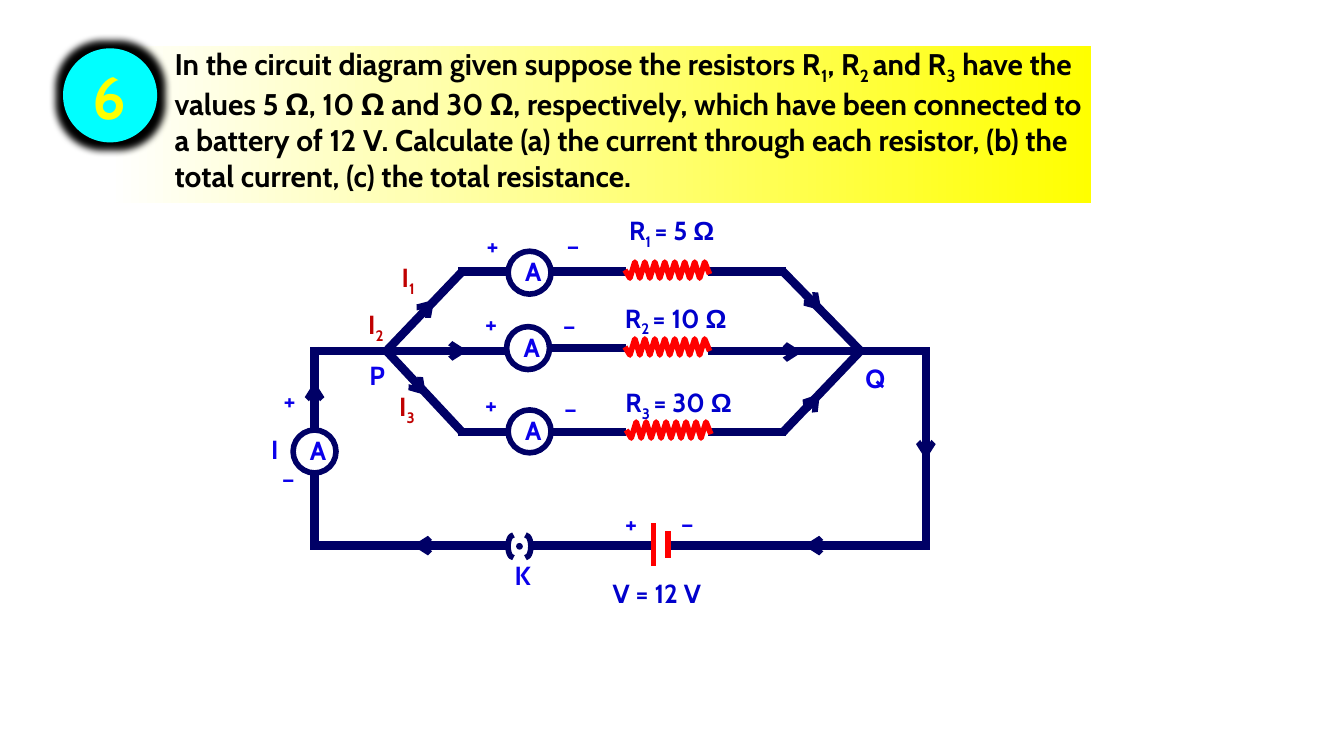
from copy import deepcopy

from lxml import etree
from pptx import Presentation
from pptx.dml import color
from pptx.enum import shapes, text
from pptx.oxml import ns
from pptx.util import Pt

NAVY = color.RGBColor(0x00, 0x00, 0x66)
BLUE = color.RGBColor(0x0B, 0x00, 0xEA)
ROYAL = color.RGBColor(0x00, 0x00, 0xCC)
CRIMSON = color.RGBColor(0xC0, 0x00, 0x00)
RED = color.RGBColor(0xFF, 0x00, 0x00)
YELLOW = color.RGBColor(0xFF, 0xFF, 0x00)
CREAM = color.RGBColor(0xFF, 0xFF, 0xB4)
WHITE = color.RGBColor(0xFF, 0xFF, 0xFF)
CYAN = color.RGBColor(0x00, 0xFF, 0xFF)
BLACK = color.RGBColor(0x00, 0x00, 0x00)

KIND = shapes.MSO_SHAPE
ALIGN = text.PP_ALIGN

# Main lines of the circuit
LEFT, RIGHT, MID, BASE = 168.5, 496, 188, 292.3
P, Q = 207, 461

QUESTION = (
    "In the circuit diagram given suppose the resistors R|1|, R|2 |and R|3"
    "| have the values 5 Ω, 10 Ω and 30 Ω, respectively, which have been "
    "connected to a battery of 12 V. Calculate (a) the current through each "
    "resistor, (b) the total current, (c) the total resistance."
)


def child(parent, tag, **attrs):
    return etree.SubElement(parent, ns.qn(tag), **attrs)


class Sketch:
    def __init__(self, slide, font="Cabin"):
        self.slide = slide
        self.font = font

    def wire(self, x1, y1, x2, y2, tint=NAVY, width=4.5, arrow=False):
        line = self.slide.shapes.add_connector(
            shapes.MSO_CONNECTOR.STRAIGHT, Pt(x1), Pt(y1), Pt(x2), Pt(y2))
        line.line.color.rgb = tint
        line.line.width = Pt(width)
        if arrow:
            child(line.line._get_or_add_ln(), "a:tailEnd", type="arrow")
        child(line._element.spPr, "a:effectLst")

    def shape(self, kind, x, y, w, h, fill=None, line=None):
        item = self.slide.shapes.add_shape(kind, Pt(x), Pt(y), Pt(w), Pt(h))
        item.shadow.inherit = False
        if fill is None:
            item.fill.background()
        else:
            item.fill.solid()
            item.fill.fore_color.rgb = fill
        if line is None:
            item.line.fill.background()
        else:
            item.line.color.rgb = line
            item.line.width = Pt(3)
        return item

    def label(self, words, x, y, w, h=24.5, size=14, tint=BLUE,
              align=ALIGN.CENTER, inset=0, fit=True, wrap=True):
        """Add text; every second piece between bars is a subscript."""
        box = self.slide.shapes.add_textbox(Pt(x), Pt(y), Pt(w), Pt(h))
        frame = box.text_frame
        frame.word_wrap = wrap
        frame.vertical_anchor = text.MSO_ANCHOR.MIDDLE
        if fit:
            frame.auto_size = text.MSO_AUTO_SIZE.SHAPE_TO_FIT_TEXT
        para = frame.paragraphs[0]
        para.alignment = align
        para._p.get_or_add_pPr().set("marL", str(Pt(inset)))
        para.font.size = Pt(size)
        para.font.bold = True
        para.font.name = self.font
        para.font.color.rgb = tint
        for i, piece in enumerate(words.split("|")):
            if not piece:
                continue
            run = para.add_run()
            run.text = piece
            if i % 2:
                run.font._element.set("baseline", "-25000")
            if piece.startswith("Ω"):
                run.font.name = "Arial"

    def meter(self, x, y):
        self.shape(KIND.OVAL, x, y, 23, 23, WHITE, NAVY)
        self.label("A", x + 2, y - 1.4, 18.7)

    def coil(self, x, top):
        """Draw a resistor as an even zigzag."""
        dots = [(x + 2.67 * i, top + 8.6 * (i % 2)) for i in range(1, 17)]
        dots.append((x + 45.4, top + 6.5))
        pen = self.slide.shapes.build_freeform(Pt(x), Pt(top + 4.3))
        pen.add_line_segments([(Pt(a), Pt(b)) for a, b in dots], close=False)
        item = pen.convert_to_shape()
        item.shadow.inherit = False
        item.fill.background()
        item.line.color.rgb = RED
        item.line.width = Pt(3)

    def banner(self, x, y, w, h):
        fill = self.shape(KIND.RECTANGLE, x, y, w, h).fill
        fill.gradient()
        fill.gradient_angle = 180
        first = fill.gradient_stops[0]._gs
        first.addnext(deepcopy(first))
        looks = [(0, YELLOW), (0.7, CREAM), (1, WHITE)]
        for stop, (place, tint) in zip(fill.gradient_stops, looks):
            stop.position = place
            stop.color.rgb = tint

    def badge(self, x, y, size):
        disc = self.shape(KIND.OVAL, x, y, size, size, CYAN)
        effects = disc._element.spPr.find(ns.qn("a:effectLst"))
        glow = child(effects, "a:glow", rad=str(Pt(8)))
        child(glow, "a:srgbClr", val=str(BLACK))


def circuit(art):
    wires = [
        (RIGHT, MID, RIGHT, 294.5), (LEFT, 185.8, LEFT, 294.5),
        (167, MID, 271.4, MID), (379.5, MID, 498.2, MID),
        (167, BASE, 273.6, BASE), (283.7, BASE, 350, BASE),
        (357.8, BASE, 496.8, BASE), (293.8, 186.5, 335.5, 186.5),
    ]
    for y in (145.4, 231.6):
        wires += [(245.5, y, 271.4, y), (293.8, y, 335.5, y),
                  (379.5, y, 421.2, y),
                  (P, MID, 247.7, y), (419.4, y, Q, MID)]
    for ends in wires:
        art.wire(*ends)

    for x, y in [(272.2, 134.6), (271.4, 175), (272.2, 219.6), (157, 230.4)]:
        art.meter(x, y)
    for x, top in [(334.8, 140.4), (334.8, 181.6), (335.5, 226.1)]:
        art.coil(x, top)

    # Key and battery
    art.shape(KIND.RIGHT_BRACKET, 281.5, 286.6, 2.9, 12.2,
              line=NAVY).adjustments[0] = 2
    art.shape(KIND.LEFT_BRACKET, 272.2, 286.6, 2.9, 12.2,
              line=NAVY).adjustments[0] = 2
    art.shape(KIND.OVAL, 276.5, 290.9, 3.6, 3.6, NAVY)
    art.wire(350, 303, 350, 280, RED, 3)
    art.wire(357.8, 298.8, 357.8, 284.4, RED, 3)

    for ends in [
        (RIGHT, 236.2, RIGHT, 246.2), (LEFT, 213.8, LEFT, 204.5),
        (231, BASE, 221, BASE), (440, BASE, 430.6, BASE),
        (226, 167.8, 232.6, 160.6), (221.8, 204.5, 228.2, 211.7),
        (241.2, MID, 250.6, MID), (433.4, 159.1, 440, 166.3),
        (419.8, 188.6, 429.8, 188.6), (433.4, 218.2, 439.2, 211),
    ]:
        art.wire(*ends, width=3, arrow=True)


def labels(art):
    signs = {
        "+": [(140.4, 202.3), (249.1, 118.8), (248.4, 160.6),
              (248.4, 204.5), (323.3, 267.8)],
        "–": [(139.7, 244.1), (292.3, 118.8), (290.2, 162),
              (290.9, 206.6), (353.5, 267.8)],
    }
    for sign, spots in signs.items():
        for x, y in spots:
            art.label(sign, x, y, 29.5)
    for name, x, y in [("K", 268.6, 295.9), ("Q", 456.5, 190.1),
                       ("P", 190.8, 188.6), ("I", 136.1, 228.2)]:
        art.label(name, x, y, 22.3)
    for i, (ohms, x, y, w) in enumerate([
            (5, 324, 112.3, 75.6), (10, 326.9, 159.1, 74.2),
            (30, 326.9, 204.5, 73.4)], 1):
        art.label(f"R|{i} |= {ohms} ||Ω ", x, y, w, tint=ROYAL)
    for i, (x, y) in enumerate(
            [(205.9, 137.5), (188.6, 162.7), (205.2, 206.6)], 1):
        art.label(f"I|{i} ", x, y, 27.4, tint=CRIMSON)
    art.label("V = 12 V ", 318.2, 305.3, 70.6, tint=ROYAL)


def main():
    deck = Presentation()
    deck.slide_width, deck.slide_height = Pt(720), Pt(405)
    art = Sketch(deck.slides.add_slide(deck.slide_layouts[6]))
    circuit(art)
    labels(art)
    art.banner(57.6, 24.5, 527, 84.2)
    art.label(QUESTION, 68.4, 15.8, 519.8, 96.5, 16, BLACK,
              ALIGN.LEFT, inset=18, fit=False)
    art.badge(33.8, 25.9, 50.4)
    art.label("6", 42.5, 28, 31.7, 46, 32, YELLOW, wrap=False)
    deck.save("out.pptx")


if __name__ == "__main__":
    main()
